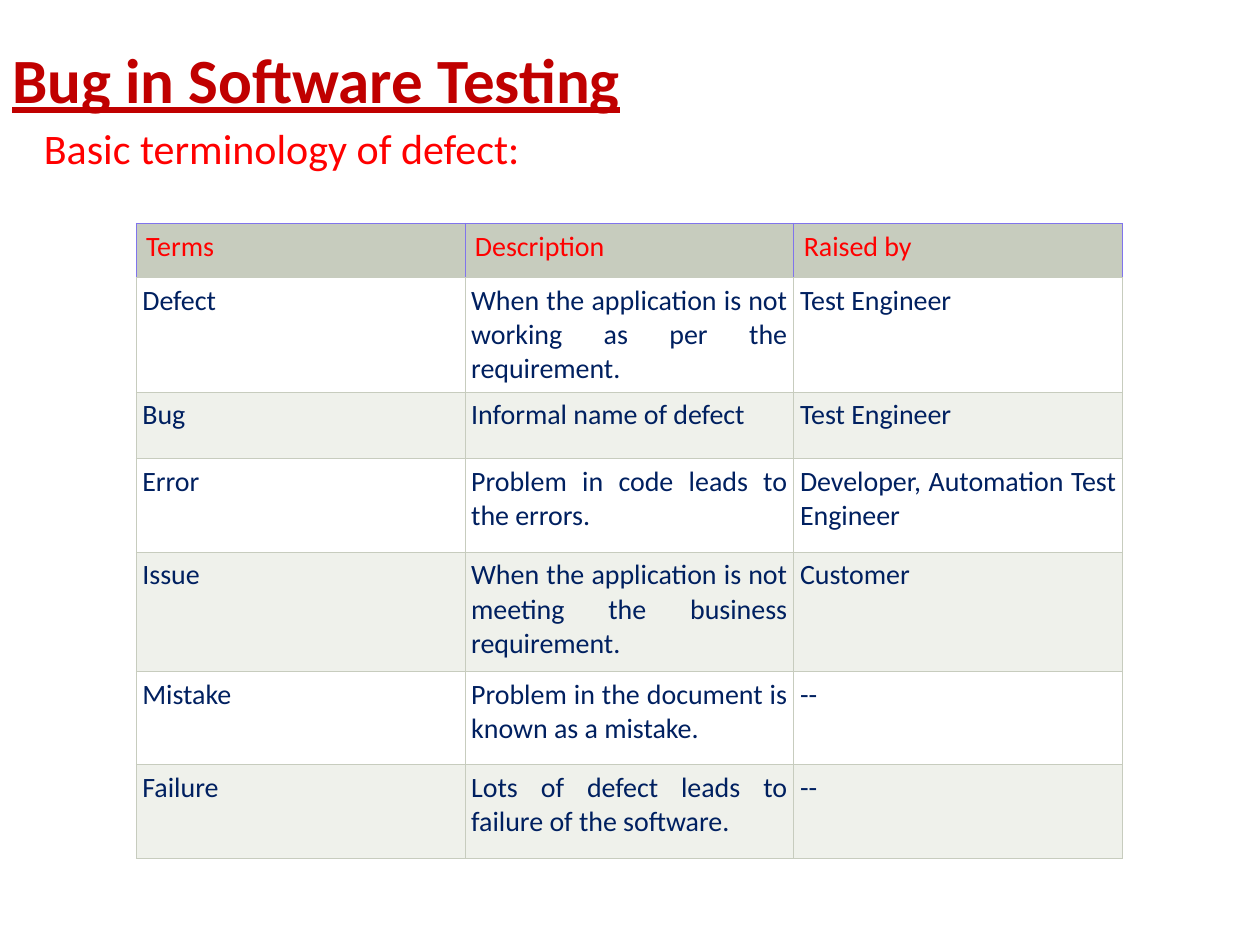
from dataclasses import dataclass

from lxml.etree import SubElement
from pptx import Presentation
from pptx.dml.color import RGBColor
from pptx.enum.text import MSO_ANCHOR, PP_ALIGN
from pptx.oxml.ns import qn
from pptx.util import Inches, Pt


@dataclass(frozen=True)
class Theme:
    font: str = "Calibri"
    title_color: str = "C00000"
    accent: str = "FF0000"
    body_color: str = "002060"
    header_fill: str = "C7CCBE"
    header_line: str = "8074EC"
    grid_line: str = "C7CCBE"
    row_fills: tuple = ("FFFFFF", "EFF1EB")
    title_size: int = 36
    subtitle_size: int = 24
    table_size: int = 16
    line_width: float = 0.34


@dataclass(frozen=True)
class Box:
    column: float
    row: float
    columns: float
    rows: float

    def place(self):
        return [grid(n) for n in (self.column, self.row, self.columns, self.rows)]


THEME = Theme()
GRID_COLUMNS, GRID_ROWS = 100, 75
GRID_UNIT = 0.1
HEADER = ("Terms", "Description", "Raised by")
TERMS = (
    (9.1, "Defect", "When the application is not working as per the requirement.", "Test Engineer"),
    (5.3, "Bug", "Informal name of defect", "Test Engineer"),
    (7.4, "Error", "Problem in code leads to the errors.", "Developer, Automation Test Engineer"),
    (9.5, "Issue", "When the application is not meeting the business requirement.", "Customer"),
    (7.4, "Mistake", "Problem in the document is known as a mistake.", "--"),
    (7.4, "Failure", "Lots of defect leads to failure of the software.", "--"),
)
HEADER_ROWS = 4.3


def grid(steps):
    return Inches(steps * GRID_UNIT)


def write(frame, text, size, color, align=PP_ALIGN.LEFT, emphasis=False):
    paragraph = frame.paragraphs[0]
    paragraph.alignment = align
    run = paragraph.add_run()
    run.text = text
    run.font.name = THEME.font
    run.font.size = Pt(size)
    run.font.color.rgb = RGBColor.from_string(color)
    if emphasis:
        run.font.bold = True
        run.font.underline = True


def add_heading(slide, box, text, size, color, anchor, align, emphasis=False):
    heading = slide.shapes.add_textbox(*box.place())
    frame = heading.text_frame
    frame.word_wrap = True
    frame.vertical_anchor = anchor
    write(frame, text, size, color, align, emphasis)


def draw_borders(cell, side_color):
    properties = cell._tc.get_or_add_tcPr()
    for side in ("L", "R", "T", "B"):
        color = THEME.grid_line if side == "B" else side_color
        line = SubElement(properties, qn(f"a:ln{side}"), w=str(Pt(THEME.line_width)))
        fill = SubElement(line, qn("a:solidFill"))
        SubElement(fill, qn("a:srgbClr"), val=color)


def fill_cell(cell, text, color, fill, line, side_inset, align):
    draw_borders(cell, line)
    cell.fill.solid()
    cell.fill.fore_color.rgb = RGBColor.from_string(fill)
    cell.margin_left = cell.margin_right = Inches(side_inset)
    cell.margin_top = cell.margin_bottom = Inches(0.05)
    write(cell.text_frame, text, THEME.table_size, color, align)


def add_terms_table(slide, box):
    table = slide.shapes.add_table(len(TERMS) + 1, len(HEADER), *box.place()).table
    for column in table.columns:
        column.width = grid(box.columns / len(HEADER))
    table.rows[0].height = grid(HEADER_ROWS)
    for index, label in enumerate(HEADER):
        fill_cell(table.cell(0, index), label, THEME.accent, THEME.header_fill,
                  THEME.header_line, 0.08, PP_ALIGN.LEFT)
    for number, (height, *entries) in enumerate(TERMS):
        table.rows[number + 1].height = grid(height)
        fill = THEME.row_fills[number % len(THEME.row_fills)]
        for index, entry in enumerate(entries):
            fill_cell(table.cell(number + 1, index), entry, THEME.body_color, fill,
                      THEME.grid_line, 0.05, PP_ALIGN.JUSTIFY)


def main():
    presentation = Presentation()
    presentation.slide_width = grid(GRID_COLUMNS)
    presentation.slide_height = grid(GRID_ROWS)
    slide = presentation.slides.add_slide(presentation.slide_layouts[6])
    add_heading(slide, Box(0, 0, 92.5, 12.5), "Bug in Software Testing", THEME.title_size,
                THEME.title_color, MSO_ANCHOR.MIDDLE, PP_ALIGN.LEFT, emphasis=True)
    add_heading(slide, Box(2.5, 9.2, 94.4, 9), "Basic terminology of defect:", THEME.subtitle_size,
                THEME.accent, MSO_ANCHOR.TOP, PP_ALIGN.JUSTIFY)
    add_terms_table(slide, Box(10.8, 17.7, 78.3, 50.4))
    presentation.save("out.pptx")


if __name__ == "__main__":
    main()
